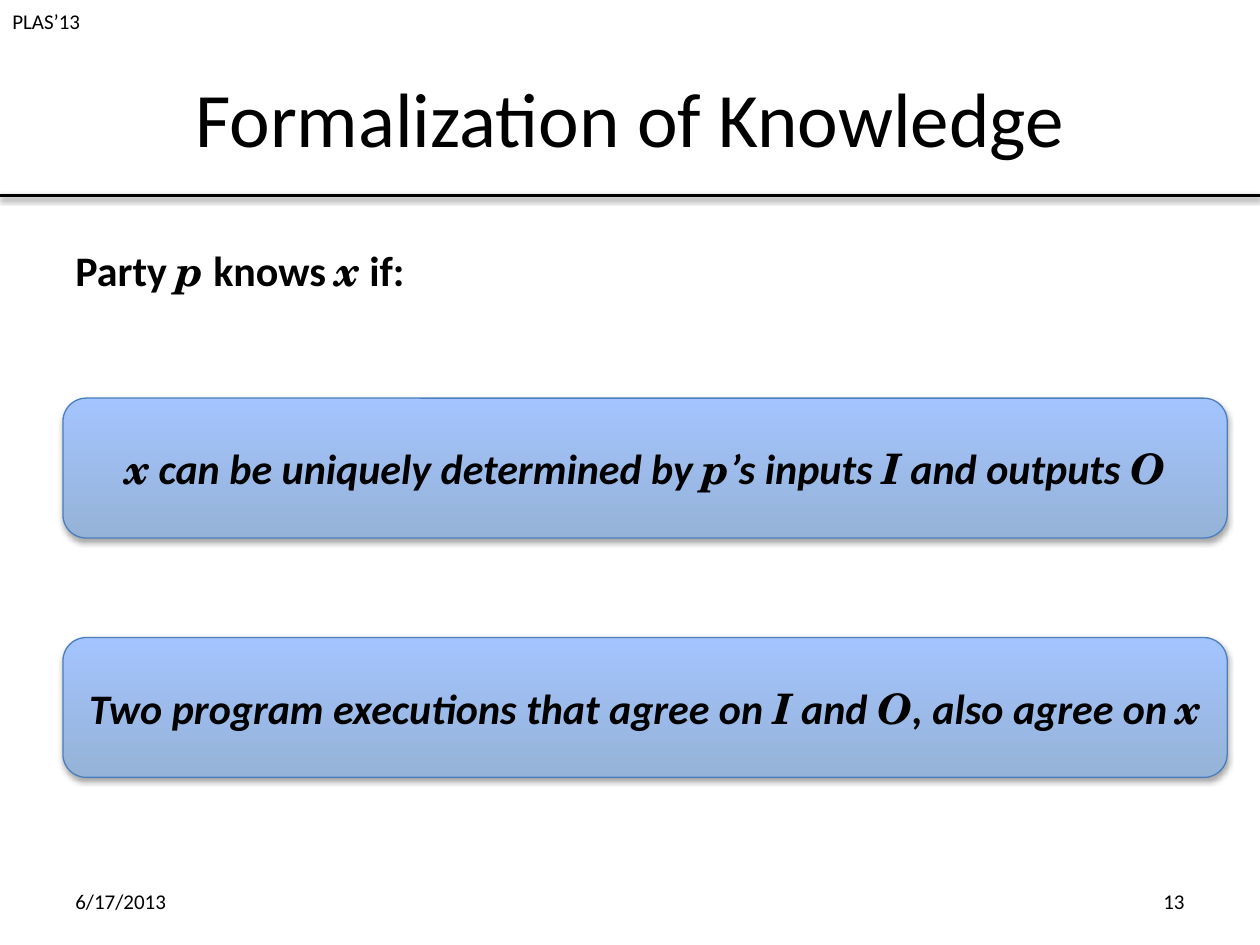
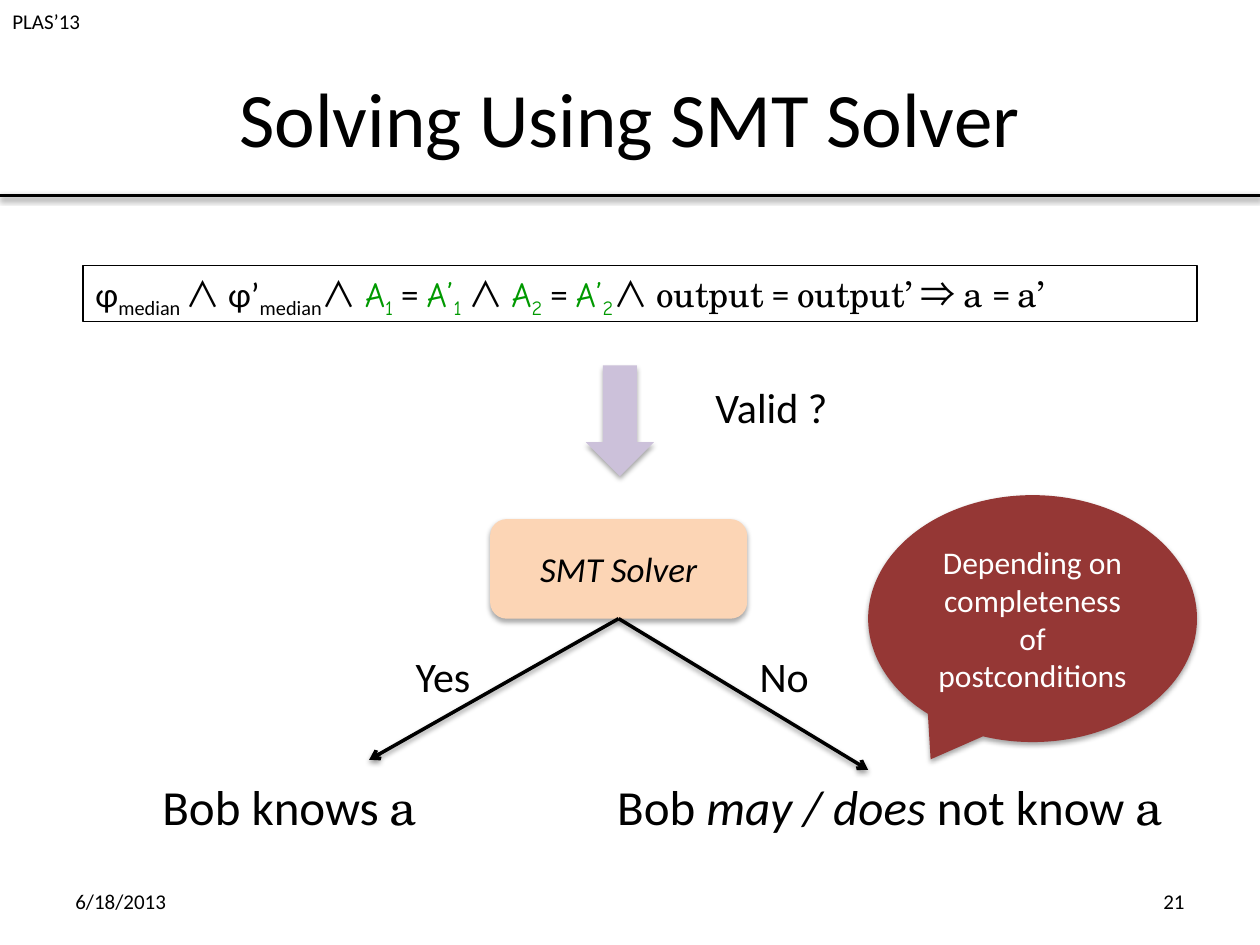
import pptx
import pptx.util
import pptx.oxml
import pptx.dml.color
import pptx.enum.shapes
import pptx.enum.text
import pptx.oxml.ns

HUES = {"ink": "000000", "white": "FFFFFF", "green": "009900", "edge": "4B7EBC",
        "sky": "A4C4FF", "steel": "95B3D7", "lilac": "CCC1DA",
        "peach": "FCD5B5", "brick": "953735"}
FONTS = {"text": "Calibri", "math": "TeX Gyre Schola",
         "sign": "Noto Sans CJK JP", "hand": "Comic Neue"}
MARKS = {"m": "math", "k": "sign", "h": "hand"}
KIND = pptx.enum.shapes.MSO_SHAPE
ALIGN = {"l": pptx.enum.text.PP_ALIGN.LEFT, "c": pptx.enum.text.PP_ALIGN.CENTER,
         "r": pptx.enum.text.PP_ALIGN.RIGHT}

COLS, ROWS = 10, 7.5
EDGE, RULE = 0.5, 1.55
DROP = {"shape": (3.1, 1.8, 35), "line": (3.1, 1.6, 38)}

PAGES = [("Formalization of Knowledge", "6/17/2013", "13"),
         ("Solving Using SMT Solver", "6/18/2013", "21")]
VENUE = "PLAS’13"

INTRO = [("Party ", "b"), ("p", "bim"), (" knows ", "b"), ("x", "bim"), (" if:", "b")]
CLAIMS = [
    [("x", "bim"), (" can be uniquely determined by ", "bi"), ("p", "bim"),
     ("’s inputs ", "bi"), ("I", "bim"), (" and outputs ", "bi"), ("O", "bim")],
    [("Two program executions that agree on ", "bi"), ("I", "bim"), (" and ", "bi"),
     ("O", "bim"), (", also agree on ", "bi"), ("x", "bim")],
]
AND, SAME = ("∧ ", "k"), (" = ", "")
GOAL = [("φ", ""), ("median ", "s"), AND, ("φ’", ""), ("median", "s"), AND,
        ("A", "h"), ("1", "hs"), SAME, ("A’", "h"), ("1 ", "hs"), AND,
        ("A", "h"), ("2", "hs"), SAME, ("A’", "h"), ("2", "hs"), AND,
        ("output", "m"), SAME, ("output’", "m"), (" ⇒ ", "k"),
        ("a ", "m"), ("= ", ""), ("a’", "m")]
LABELS = [
    ((5.58, 2.98, 2.62, 0.5), 24, [("Valid ?", "")]),
    ((5.93, 5.11, 2.62, 0.5), 24, [("No", "")]),
    ((3.2, 5.11, 1.72, 0.5), 24, [("Yes", "")]),
    ((1.19, 6.11, 4.91, 0.57), 28, [("Bob knows ", ""), ("a", "m")]),
    ((4.8, 6.11, 5.09, 0.57), 28,
     [("Bob ", ""), ("may / does ", "i"), ("not know ", ""), ("a", "m")]),
]
SOLVER = (3.89, 4.12, 2.04, 0.79)
ENDS = [(2.93, 6.03), (6.89, 6.11)]

deck = pptx.Presentation()
deck.slide_width = pptx.util.Inches(COLS)
deck.slide_height = pptx.util.Inches(ROWS)


def grid(*cells):
    return [int(cell * deck.slide_width / COLS) for cell in cells]


def tint(name):
    return pptx.dml.color.RGBColor.from_string(HUES[name])


def shade(item, kind):
    blur, dist, alpha = DROP[kind]
    item._element.spPr.append(pptx.oxml.parse_xml(
        f'<a:effectLst {pptx.oxml.ns.nsdecls("a")}>'
        f'<a:outerShdw blurRad="{pptx.util.Pt(blur)}" dist="{pptx.util.Pt(dist)}" '
        f'dir="5400000" rotWithShape="0"><a:srgbClr val="{HUES["ink"]}">'
        f'<a:alpha val="{alpha * 1000}"/></a:srgbClr></a:outerShdw></a:effectLst>'))


def write(item, runs, size, align="l", mid=False, hue="ink"):
    frame = item.text_frame
    frame.word_wrap = True
    anchor = pptx.enum.text.MSO_ANCHOR
    frame.vertical_anchor = anchor.MIDDLE if mid else anchor.TOP
    para = frame.paragraphs[0]
    para.alignment = ALIGN[align]
    for text, marks in runs:
        run = para.add_run()
        run.text = text
        font = run.font
        face = next((MARKS[m] for m in marks if m in MARKS), "text")
        font.name = FONTS[face]
        font.size = pptx.util.Pt(size)
        font.bold, font.italic = "b" in marks, "i" in marks
        font.color.rgb = tint("green" if face == "hand" else hue)
        props = run._r.get_or_add_rPr()
        if "s" in marks:
            props.set("baseline", "-25000")
        if face == "sign":
            east = pptx.oxml.parse_xml(
                f'<a:ea {pptx.oxml.ns.nsdecls("a")} typeface="{FONTS[face]}"/>')
            props.find(pptx.oxml.ns.qn("a:latin")).addnext(east)


def label(page, box, runs, size, **look):
    write(page.shapes.add_textbox(*grid(*box)), runs, size, **look)


def block(page, kind, box, fill=None, edge=None, drop=True):
    item = page.shapes.add_shape(kind, *grid(*box))
    if isinstance(fill, tuple):
        item.fill.gradient()
        item.fill.gradient_angle = 270
        for stop, name in zip(item.fill.gradient_stops, fill):
            stop.color.rgb = tint(name)
    elif fill:
        item.fill.solid()
        item.fill.fore_color.rgb = tint(fill)
    else:
        item.fill.background()
    if edge:
        item.line.color.rgb = tint(edge)
        item.line.width = pptx.util.Pt(0.75)
    else:
        item.line.fill.background()
    if drop:
        shade(item, "shape")
    else:
        item.shadow.inherit = False
    return item


def link(page, start, end, arrow=False):
    line = page.shapes.add_connector(
        pptx.enum.shapes.MSO_CONNECTOR.STRAIGHT, *grid(*start, *end))
    line.line.color.rgb = tint("ink")
    line.line.width = pptx.util.Pt(2)
    if arrow:
        line.line._get_or_add_ln().append(pptx.oxml.parse_xml(
            f'<a:tailEnd {pptx.oxml.ns.nsdecls("a")} type="arrow"/>'))
    shade(line, "line")


def start(title, date, number):
    page = deck.slides.add_slide(deck.slide_layouts[6])
    link(page, (0, RULE), (COLS, RULE))
    label(page, (0, 0.02, 1.6, 0.3), [(VENUE, "")], 12)
    label(page, (EDGE, 0.3, COLS - 2 * EDGE, 1.25), [(title, "")], 44,
          align="c", mid=True)
    wide = 2.33
    for left, text, align in ((EDGE, date, "l"), (COLS - EDGE - wide, number, "r")):
        label(page, (left, 6.95, wide, 0.4), [(text, "")], 12, align=align, mid=True)
    return page


def knowledge(page):
    label(page, (EDGE, 1.89, 7.28, 0.5), INTRO, 24)
    for row, claim in enumerate(CLAIMS):
        card = block(page, KIND.ROUNDED_RECTANGLE, (EDGE, 3.16 + 1.9 * row, 9.24, 1.11),
                     ("sky", "steel"), "edge")
        write(card, claim, 24, "c", True)


def solving(page):
    write(block(page, KIND.RECTANGLE, (0.66, 2.11, 8.84, 0.44), edge="ink", drop=False),
          GOAL, 20)
    block(page, KIND.DOWN_ARROW, (4.65, 2.9, 0.54, 0.88), "lilac")
    write(block(page, KIND.ROUNDED_RECTANGLE, SOLVER, "peach"),
          [("SMT Solver", "i")], 20, "c", True)
    left, top, wide, high = SOLVER
    for end in ENDS:
        link(page, (left + wide / 2, top + high), end, True)
    for box, size, runs in LABELS:
        label(page, box, runs, size)
    cloud = block(page, KIND.OVAL_CALLOUT, (6.89, 3.93, 2.61, 1.96), "brick")
    cloud.adjustments[0], cloud.adjustments[1] = -0.31, 0.57
    write(cloud, [("Depending on completeness of postconditions", "")], 18,
          "c", True, "white")


for facts, draw in zip(PAGES, (knowledge, solving)):
    draw(start(*facts))
deck.save("out.pptx")
